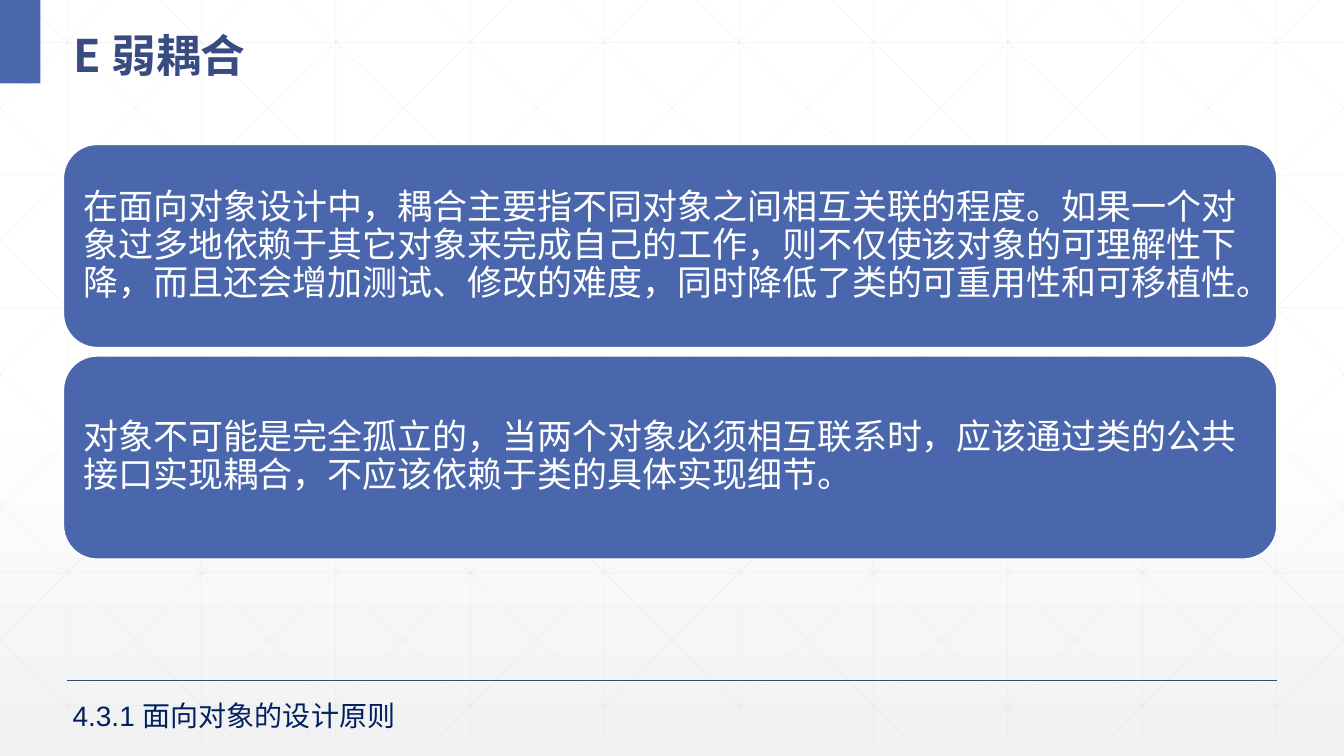
from lxml import etree
from pptx import Presentation
from pptx.dml.color import RGBColor
from pptx.enum import shapes, text
from pptx.oxml import ns
from pptx.util import Cm, Pt

COLORS = {
    "white": "FFFFFF", "grey": "F2F2F2", "grid": "D9D9D9",
    "blue": "4A66AC", "dark_blue": "384C81", "navy": "002060",
}
CJK_FONT = "Noto Sans CJK SC"
WIDTH, HEIGHT = 33.87, 19.05

presentation = Presentation()
presentation.slide_width, presentation.slide_height = Cm(WIDTH), Cm(HEIGHT)
slide = presentation.slides.add_slide(presentation.slide_layouts[5])


def add_line(start, end, color, width, opacity=100):
    line = slide.shapes.add_connector(
        shapes.MSO_CONNECTOR.STRAIGHT, *[Cm(value) for value in (*start, *end)])
    line.line.color.rgb = RGBColor.from_string(COLORS[color])
    line.line.width = Pt(width)
    etree.SubElement(line._element.spPr, ns.qn("a:effectLst"))
    if opacity < 100:
        fill_color = line._element.spPr.find(".//" + ns.qn("a:srgbClr"))
        etree.SubElement(fill_color, ns.qn("a:alpha"), val=str(opacity * 1000))


def set_text(shape, words, size, color, font="Arial", bold=False, line_spacing=1.0):
    shape.text_frame.text = words
    shape.text_frame.word_wrap = True
    paragraph = shape.text_frame.paragraphs[0]
    paragraph.alignment = text.PP_ALIGN.LEFT
    paragraph.line_spacing = line_spacing
    for run in paragraph.runs:
        run.font.size, run.font.bold, run.font.name = Pt(size), bold, font
        run.font.color.rgb = RGBColor.from_string(COLORS[color])
        latin = run.font._element.find(ns.qn("a:latin"))
        latin.addnext(latin.makeelement(ns.qn("a:ea"), {"typeface": CJK_FONT}))


# Background gradient, white at the top
background = slide.background.fill
background.gradient()
background.gradient_angle = 270
for stop, position, color in zip(background.gradient_stops, (0.53, 1), ("white", "grey")):
    stop.position = position
    stop.color.rgb = RGBColor.from_string(COLORS[color])

# Faint grid: verticals, horizontals, then both families of diagonals
GRID_BOTTOM, COLUMN_STEP, ROW_STEP = 18.72, WIDTH / 10, 3.34
DIAGONAL_RUN = 18.94
slope = GRID_BOTTOM / DIAGONAL_RUN
grid_lines = []
for column in range(10):
    x = 1.69 + column * COLUMN_STEP
    grid_lines.append(((x, 0), (x, GRID_BOTTOM)))
for row in range(6):
    y = 1.07 + row * ROW_STEP
    grid_lines.append(((0, y), (WIDTH, y)))
for diagonal in range(-5, 10):
    origin = 0.63 + diagonal * COLUMN_STEP
    left, right = max(origin, 0), min(origin + DIAGONAL_RUN, WIDTH)
    top, bottom = (left - origin) * slope, (right - origin) * slope
    grid_lines.append(((left, top), (right, bottom)))
    grid_lines.append(((WIDTH - left, top), (WIDTH - right, bottom)))
for start, end in grid_lines:
    add_line(start, end, "grid", 0.5, opacity=25)

# Footer rule and corner block
add_line((1.69, 17.15), (32.18, 17.15), "dark_blue", 1)
corner = slide.shapes.add_shape(
    shapes.MSO_SHAPE.RECTANGLE, 0, 0, Cm(1.02), Cm(2.1))
corner.shadow.inherit = False
corner.fill.solid()
corner.fill.fore_color.rgb = RGBColor.from_string(COLORS["blue"])
corner.line.fill.background()

# Title, brought in front of the grid
title = slide.shapes.title
title.left, title.top, title.width, title.height = Cm(1.6), Cm(0.25), Cm(31.55), Cm(1.85)
set_text(title, "E 弱耦合", 32, "dark_blue", CJK_FONT, bold=True, line_spacing=1.3)
title.text_frame.vertical_anchor = text.MSO_ANCHOR.MIDDLE
slide.shapes._spTree.append(title._element)

# Two statement cards
statements = [
    "在面向对象设计中，耦合主要指不同对象之间相互关联的程度。如果一个对象过多地依赖于其它对象来完成自己的工作，则不仅使该对象的可理解性下降，而且还会增加测试、修改的难度，同时降低了类的可重用性和可移植性。",
    "对象不可能是完全孤立的，当两个对象必须相互联系时，应该通过类的公共接口实现耦合，不应该依赖于类的具体实现细节。",
]
for index, statement in enumerate(statements):
    card = slide.shapes.add_shape(
        shapes.MSO_SHAPE.ROUNDED_RECTANGLE,
        Cm(1.6), Cm(3.64 + index * 5.33), Cm(30.58), Cm(5.12))
    card.shadow.inherit = False
    card.fill.solid()
    card.fill.fore_color.rgb = RGBColor.from_string(COLORS["blue"])
    card.line.color.rgb = RGBColor.from_string(COLORS["white"])
    card.line.width = Pt(1)
    set_text(card, statement, 25, "white", line_spacing=0.9)
    frame = card.text_frame
    frame.vertical_anchor = text.MSO_ANCHOR.MIDDLE
    # The rounded corners already inset the text by 0.25 cm
    frame.margin_left = frame.margin_right = Cm(0.25)

# Section label
section = slide.shapes.add_textbox(Cm(1.58), Cm(17.48), Cm(15.34), Cm(1.11))
set_text(section, "4.3.1 面向对象的设计原则", 20, "navy")

presentation.save("out.pptx")
